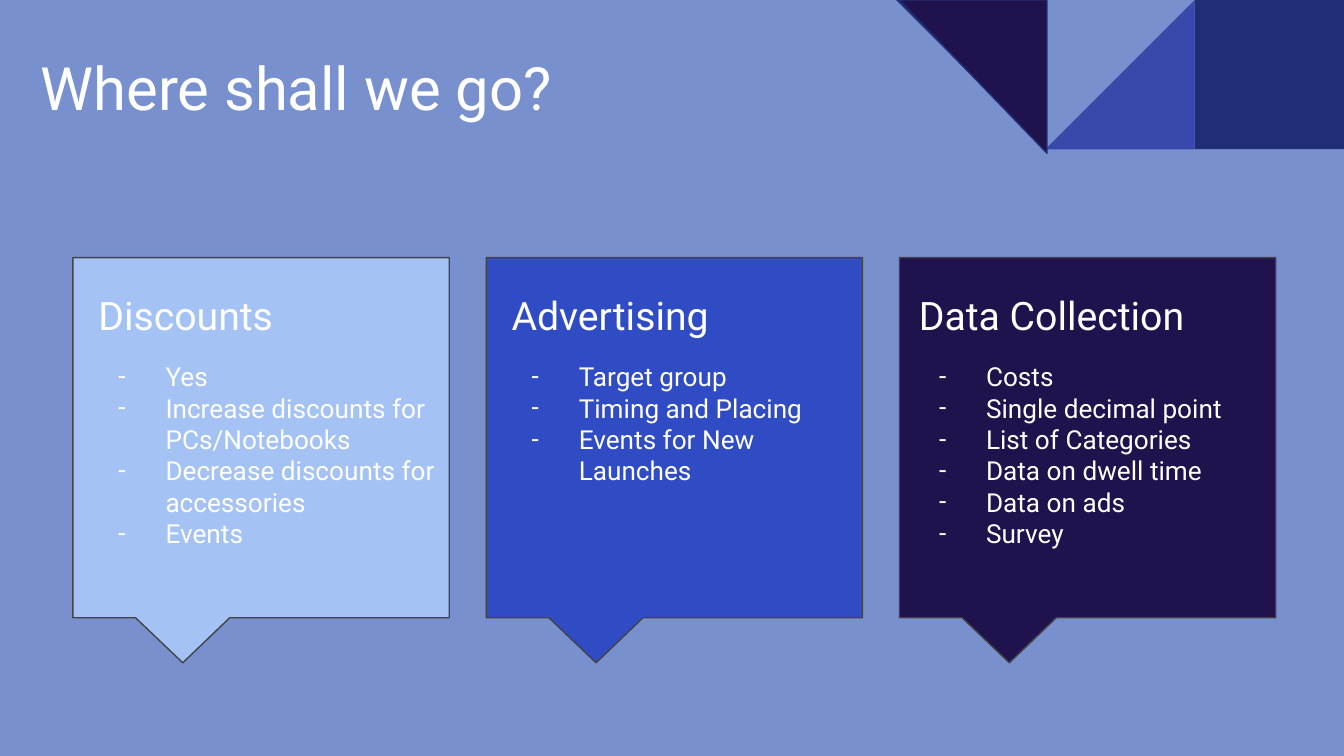
from lxml import etree
from pptx import Presentation, util as u
from pptx.dml.color import RGBColor
from pptx.enum import shapes, text
from pptx.oxml.ns import qn

COLORS = {
    "background": "7890CD", "navy": "212D74", "indigo": "3949AB", "night": "20124D",
    "sky": "A4C2F4", "royal": "304CC4", "outline": "434343", "white": "FFFFFF",
}
COLUMNS, ROWS = 100, 56.25
CELL = 0.1
TILE = COLUMNS / 9
CARD_STEP = 30.75
CARDS = [
    ("Discounts", "sky", 6.33,
     ["Yes", "Increase discounts for PCs/Notebooks",
      "Decrease discounts for accessories", "Events"]),
    ("Advertising", "royal", 37.08,
     ["Target group", "Timing and Placing", "Events for New Launches"]),
    ("Data Collection", "night", 67.38,
     ["Costs", "Single decimal point", "List of Categories",
      "Data on dwell time", "Data on ads", "Survey"]),
]


class SlideBuilder:
    """Draws styled elements on one slide, measured in grid cells."""

    def __init__(self, presentation, font="Roboto"):
        self.font = font
        self.slide = presentation.slides.add_slide(presentation.slide_layouts[6])
        fill = self.slide.background.fill
        fill.solid()
        fill.fore_color.rgb = self.color("background")

    def color(self, name):
        return RGBColor.from_string(COLORS[name])

    def box(self, *cells):
        return [u.Inches(cell * CELL) for cell in cells]

    def shape(self, kind, cells, fill, line=None, rotation=0):
        shape = self.slide.shapes.add_shape(kind, *self.box(*cells))
        shape.shadow.inherit = False
        shape.rotation = rotation
        shape.fill.solid()
        shape.fill.fore_color.rgb = self.color(fill)
        if line:
            shape.line.color.rgb = self.color(line)
            shape.line.width = u.Pt(0.75)
        else:
            shape.line.fill.background()
        return shape

    def triangle(self, cells, fill, rotation, line=None):
        self.shape(shapes.MSO_SHAPE.RIGHT_TRIANGLE, cells, fill, line, rotation)

    def callout(self, cells, fill):
        shape = self.shape(shapes.MSO_SHAPE.RECTANGULAR_CALLOUT, cells, fill, "outline")
        shape.adjustments[0] = -0.208
        shape.adjustments[1] = 0.625

    def bullet(self, paragraph):
        properties = paragraph._p.get_or_add_pPr()
        properties.set("marL", str(u.Inches(0.5)))
        properties.set("indent", str(u.Inches(-0.35)))
        color = etree.SubElement(properties, qn("a:buClr"))
        etree.SubElement(color, qn("a:srgbClr"), val=COLORS["white"])
        etree.SubElement(properties, qn("a:buFont"), typeface=self.font)
        etree.SubElement(properties, qn("a:buChar"), char="-")

    def text(self, cells, heading, size, bullets=(), anchor=text.MSO_ANCHOR.TOP):
        frame = self.slide.shapes.add_textbox(*self.box(*cells)).text_frame
        frame.word_wrap = True
        frame.vertical_anchor = anchor
        frame.margin_left = frame.margin_right = u.Inches(0.1)
        frame.margin_top = frame.margin_bottom = u.Inches(0.1)
        frame.text = "\n".join([heading, *bullets])
        for index, paragraph in enumerate(frame.paragraphs):
            if index:
                paragraph.space_before = u.Pt(12 if index == 1 else 0)
                self.bullet(paragraph)
            paragraph.font.name = self.font
            paragraph.font.size = u.Pt(14 if index else size)
            paragraph.font.color.rgb = self.color("white")


def main():
    presentation = Presentation()
    presentation.slide_width = u.Inches(COLUMNS * CELL)
    presentation.slide_height = u.Inches(ROWS * CELL)
    builder = SlideBuilder(presentation)

    builder.shape(shapes.MSO_SHAPE.RECTANGLE, (8 * TILE, 0, TILE, TILE), "navy")
    builder.triangle((7 * TILE, 0, TILE, TILE), "indigo", 270)
    builder.triangle((6 * TILE, 0, TILE, TILE), "navy", 180)
    builder.triangle((66.9, 0, 11, 11.4), "night", 180, "navy")

    builder.text((2.03, 1.85, 61.4, 9.2), "Where shall we go?", 32,
                 anchor=text.MSO_ANCHOR.MIDDLE)
    for index, (heading, fill, text_left, bullets) in enumerate(CARDS):
        builder.callout((5.43 + index * CARD_STEP, 19.17, 28, 26.8), fill)
        builder.text((text_left, 20.67, 27.1, 21.9), heading, 21, bullets)

    presentation.save("out.pptx")


if __name__ == "__main__":
    main()
